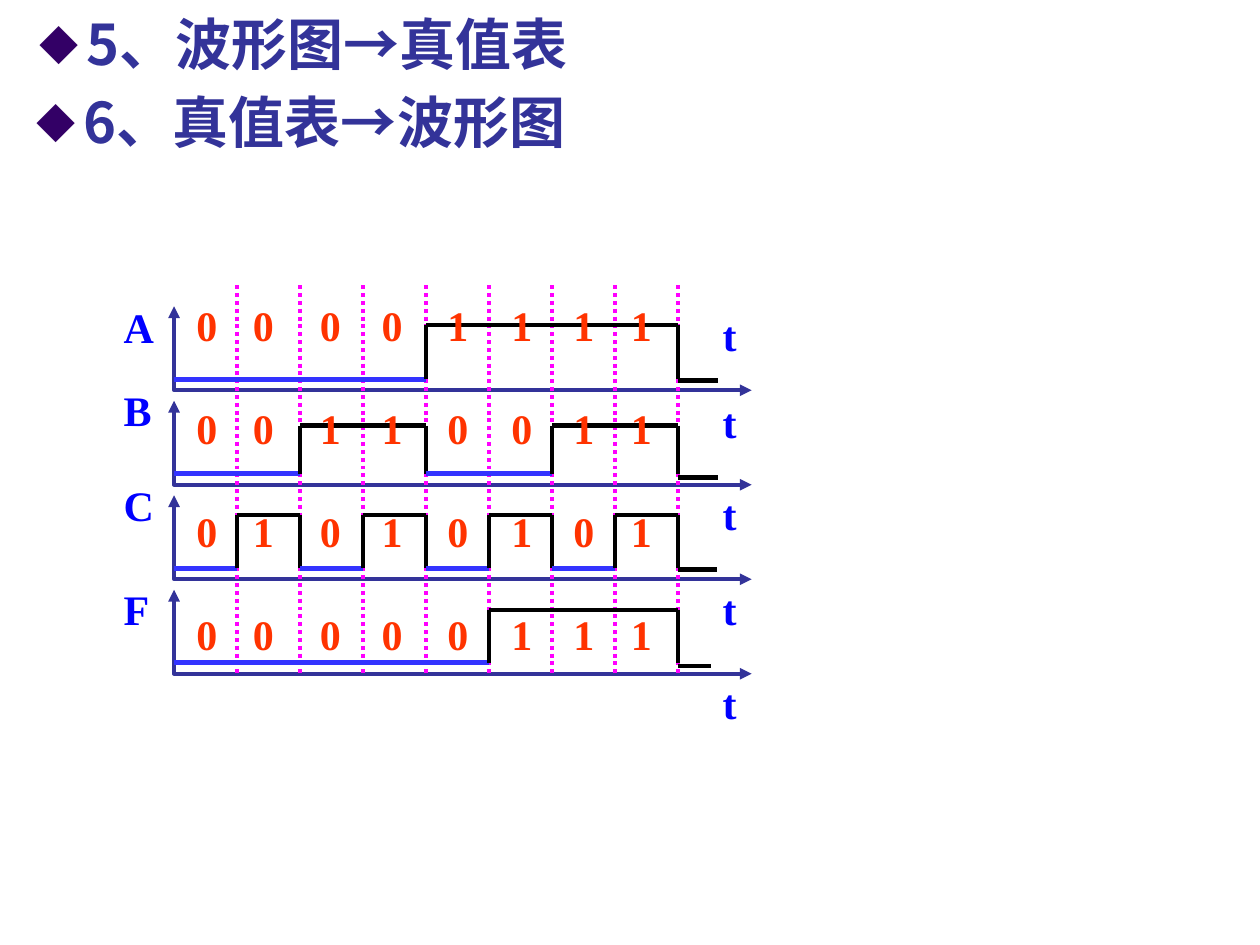
from itertools import groupby
from typing import NamedTuple

from lxml.etree import SubElement
from pptx import Presentation
from pptx.dml.color import RGBColor
from pptx.enum.dml import MSO_LINE_DASH_STYLE as Dash
from pptx.enum.shapes import MSO_CONNECTOR as Connector
from pptx.enum.text import MSO_ANCHOR as Anchor, MSO_AUTO_SIZE as AutoSize
from pptx.oxml.ns import qn
from pptx.util import Pt

NAVY = RGBColor(0x33, 0x33, 0x99)
PURPLE = RGBColor(0x33, 0x00, 0x66)
BLUE = RGBColor(0x00, 0x00, 0xFF)
LOW_BLUE = RGBColor(0x33, 0x33, 0xFF)
MAGENTA = RGBColor(0xFF, 0x00, 0xFF)
RED = RGBColor(0xFF, 0x33, 0x00)
BLACK = RGBColor(0, 0, 0)
HEADING_FONT = "Noto Sans CJK SC"
LABEL_FONT = "Times New Roman"
STEP = 36
ROW_PITCH = 54
FIRST_BASE = 60
AXIS_HEIGHT = 48
AXIS_WIDTH = 330
LOW_OFFSET = 6.3


class Signal(NamedTuple):
    """One row of the timing diagram, with tops relative to the diagram."""

    name: str
    bits: str
    label_top: float
    rise: float
    tail_drop: float
    tail_length: float


SIGNALS = [
    Signal("A", "00001111", 6, 31, 0.7, 23),
    Signal("B", "00110011", 53, 27.5, 2.2, 23),
    Signal("C", "01010101", 107.5, 30.5, 0.7, 22),
    Signal("F", "00000111", 166.8, 30, 1.9, 19),
]
TIME_LABEL_TOPS = [10.5, 60, 112.8, 166.8, 220.8]
DIGIT_LEFTS = [5.7, 38, 76.2, 111.5, 149, 185.7, 221, 254]


def style_run(paragraph, text, font_name, size, color):
    """Add a bold run in one typeface for Latin and East Asian text."""
    run = paragraph.add_run()
    run.text = text
    font = run.font
    font.name, font.size, font.bold = font_name, Pt(size), True
    font.color.rgb = color
    SubElement(font._element, qn("a:ea"), typeface=font_name)


def add_heading(placeholder, left, top, text):
    """Place one diamond-bulleted heading in a body placeholder."""
    placeholder.left, placeholder.top = Pt(left), Pt(top)
    placeholder.width, placeholder.height = Pt(630), Pt(35.3)
    frame = placeholder.text_frame
    frame.word_wrap = True
    frame.auto_size = AutoSize.NONE
    frame.vertical_anchor = Anchor.TOP
    paragraph = frame.paragraphs[0]
    paragraph.line_spacing = 0.8
    paragraph.space_before = Pt(0)
    properties = paragraph._p.get_or_add_pPr()
    properties.set("marL", str(Pt(27)))
    properties.set("indent", str(Pt(-27)))
    bullet_color = SubElement(properties, qn("a:buClr"))
    SubElement(bullet_color, qn("a:srgbClr"), val=str(PURPLE))
    SubElement(properties, qn("a:buSzPct"), val="70000")
    SubElement(properties, qn("a:buFont"), typeface=HEADING_FONT)
    SubElement(properties, qn("a:buChar"), char="◆")
    style_run(paragraph, text, HEADING_FONT, 32, NAVY)


def add_label(slide, left, top, width, lines, color, gap=0):
    """Add an unwrapped label with one paragraph for each line."""
    box = slide.shapes.add_textbox(Pt(left), Pt(top), Pt(width), Pt(36.7))
    frame = box.text_frame
    frame.word_wrap = False
    for index, line in enumerate(lines):
        paragraph = frame.add_paragraph() if index else frame.paragraphs[0]
        if index:
            paragraph.space_before = Pt(gap)
        style_run(paragraph, line, LABEL_FONT, 24, color)


def add_line(slide, start, end, color, weight, dash=None):
    """Draw a straight line between two points."""
    points = [Pt(value) for value in (*start, *end)]
    connector = slide.shapes.add_connector(Connector.STRAIGHT, *points)
    connector.line.color.rgb = color
    connector.line.width = Pt(weight)
    if dash:
        connector.line.dash_style = dash
    SubElement(connector._element.spPr, qn("a:effectLst"))


def add_axes(slide, left, base):
    """Draw one pair of axes with an arrowhead at each end."""
    builder = slide.shapes.build_freeform(Pt(left), Pt(base - AXIS_HEIGHT))
    corners = [(Pt(left), Pt(base)), (Pt(left + AXIS_WIDTH), Pt(base))]
    builder.add_line_segments(corners, close=False)
    axes = builder.convert_to_shape()
    axes.shadow.inherit = False
    axes.fill.background()
    axes.line.color.rgb = NAVY
    axes.line.width = Pt(2.25)
    outline = axes.line._get_or_add_ln()
    for end in ("a:headEnd", "a:tailEnd"):
        SubElement(outline, qn(end), type="triangle")


def add_wave(slide, left, base, signal):
    """Draw the levels and edges of one signal, then its closing tail."""
    low = base - LOW_OFFSET
    high = low - signal.rise
    x = left
    for bit, run in groupby(signal.bits):
        end = x + STEP * len(list(run))
        if bit == "1":
            add_line(slide, (x, low), (x, high), BLACK, 2.5)
            add_line(slide, (x, high), (end, high), BLACK, 2.5)
            add_line(slide, (end, high), (end, low), BLACK, 2.5)
        else:
            add_line(slide, (x, low), (end, low), LOW_BLUE, 3)
        x = end
    tail = low + signal.tail_drop
    add_line(slide, (x, tail), (x + signal.tail_length, tail), BLACK, 2.5)


def add_timing_diagram(slide, left, top):
    """Build the axes, labels, time marks, waves and digits."""
    bases = [top + FIRST_BASE + ROW_PITCH * row for row in range(len(SIGNALS))]
    for base, signal in zip(bases, SIGNALS):
        add_axes(slide, left, base)
        add_label(slide, left - 36, top + signal.label_top, 32, signal.name, BLUE)
    for label_top in TIME_LABEL_TOPS:
        add_label(slide, left + 306.3, top + label_top, 22.3, "t", BLUE)
    for mark in range(1, len(DIGIT_LEFTS) + 1):
        x = left + STEP * mark
        add_line(slide, (x, top), (x, bases[-1]), MAGENTA, 2.25, Dash.ROUND_DOT)
    for base, signal in zip(bases, SIGNALS):
        add_wave(slide, left, base, signal)
    columns = zip(*(signal.bits for signal in SIGNALS))
    for digit_left, digits in zip(DIGIT_LEFTS, columns):
        add_label(slide, left + digit_left, top + 4.8, 26.6, digits, RED, gap=30)


def main():
    """Create and save the waveform slide."""
    presentation = Presentation()
    presentation.slide_width, presentation.slide_height = Pt(720), Pt(540)
    slide = presentation.slides.add_slide(presentation.slide_layouts[3])
    title, first, second = slide.placeholders
    title._element.getparent().remove(title._element)
    add_heading(first, 15.1, 9.4, "5、波形图→真值表")
    add_heading(second, 13.7, 54, "6、真值表→波形图")
    add_timing_diagram(slide, 99.5, 163)
    presentation.save("out.pptx")


if __name__ == "__main__":
    main()
